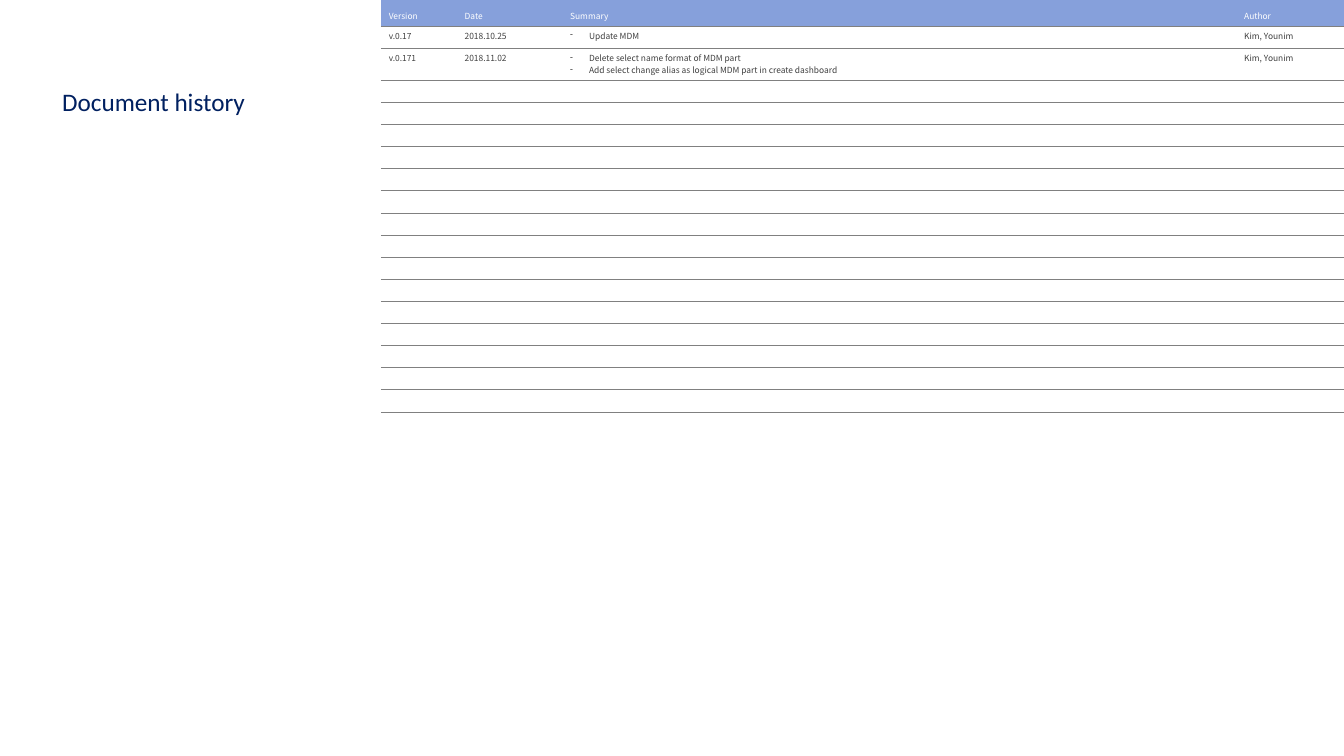
import pptx
import pptx.dml.color
import pptx.enum.text
import pptx.oxml
import pptx.oxml.ns
import pptx.util
from lxml import etree

Pt = pptx.util.Pt
qn = pptx.oxml.ns.qn
RGBColor = pptx.dml.color.RGBColor

NAVY = RGBColor(0x00, 0x20, 0x60)
HEADER_BLUE = RGBColor(0x86, 0xA0, 0xDB)
WHITE = RGBColor(0xFF, 0xFF, 0xFF)
TEXT_GRAY = RGBColor(0x40, 0x40, 0x40)
RULE_GRAY = RGBColor(0x80, 0x80, 0x80)

TABLE_FONT = "Noto Sans CJK KR"
TABLE_SIZE = Pt(6)
COLUMN_WIDTHS = (54.2, 75.4, 481.5, 76.8)
HEADER_HEIGHT = 16.6
ROW_HEIGHT = 15.8
ROW_COUNT = 18
SUMMARY_COLUMN = 2

# Each cell is a list of paragraphs
HISTORY = [
    [["Version"], ["Date"], ["Summary"], ["Author"]],
    [["v.0.17"], ["2018.10.25"], ["Update MDM"], ["Kim, Younim"]],
    [["v.0.171"], ["2018.11.02"],
     ["Delete select name format of MDM part",
      "Add select change alias as logical MDM part in create dashboard"],
     ["Kim, Younim"]],
]


def add_run(paragraph, text, font_name, size, color):
    run = paragraph.add_run()
    run.text = text
    run.font.name = font_name
    run.font.size = size
    run.font.color.rgb = color
    if font_name == TABLE_FONT:
        east_asian = etree.SubElement(run.font._element, qn("a:ea"))
        east_asian.set("typeface", font_name)


def add_dash(paragraph):
    properties = paragraph._p.get_or_add_pPr()
    properties.set("marL", str(Pt(13.5)))
    properties.set("indent", str(-Pt(13.5)))
    etree.SubElement(properties, qn("a:buFontTx"))
    etree.SubElement(properties, qn("a:buChar")).set("char", "-")


def set_borders(cell, top):
    """Rule the cell below, and above if asked, with open sides."""
    properties = cell._tc.get_or_add_tcPr()
    for side, ruled in (("L", False), ("R", False), ("T", top), ("B", True)):
        line = etree.SubElement(properties, qn(f"a:ln{side}"), w=str(Pt(0.25)))
        if ruled:
            fill = etree.SubElement(line, qn("a:solidFill"))
            etree.SubElement(fill, qn("a:srgbClr"), val=str(RULE_GRAY))
        else:
            etree.SubElement(line, qn("a:noFill"))


def fill_cell(cell, entries, is_header, is_list):
    cell.margin_left = cell.margin_right = Pt(5.6)
    cell.margin_top = cell.margin_bottom = Pt(2.8)
    set_borders(cell, top=not is_header)
    cell.fill.solid()
    cell.fill.fore_color.rgb = HEADER_BLUE if is_header else WHITE
    frame = cell.text_frame
    for index, entry in enumerate(entries):
        paragraph = frame.add_paragraph() if index else frame.paragraphs[0]
        if is_header:
            paragraph.line_spacing = 1.5
        if is_list:
            add_dash(paragraph)
        add_run(paragraph, entry, TABLE_FONT, TABLE_SIZE,
                WHITE if is_header else TEXT_GRAY)
    if not entries:
        # Keeps empty rows at their set height
        etree.SubElement(frame.paragraphs[0]._p, qn("a:endParaRPr"),
                         sz=str(int(TABLE_SIZE.pt * 100)))


def add_history_table(slide):
    height = HEADER_HEIGHT + ROW_HEIGHT * (ROW_COUNT - 1)
    table = slide.shapes.add_table(
        ROW_COUNT, len(COLUMN_WIDTHS), Pt(272.1), Pt(0),
        Pt(sum(COLUMN_WIDTHS)), Pt(height)).table
    table.first_row = False
    table.horz_banding = False
    for column, width in zip(table.columns, COLUMN_WIDTHS):
        column.width = Pt(width)
    for row_index, row in enumerate(table.rows):
        is_header = row_index == 0
        row.height = Pt(HEADER_HEIGHT if is_header else ROW_HEIGHT)
        for column_index, cell in enumerate(row.cells):
            has_text = row_index < len(HISTORY)
            entries = HISTORY[row_index][column_index] if has_text else []
            is_list = (has_text and not is_header
                       and column_index == SUMMARY_COLUMN)
            fill_cell(cell, entries, is_header, is_list)


def set_title(slide, text):
    title = slide.shapes.title
    title.left, title.top = Pt(37.2), Pt(61.2)
    title.width, title.height = Pt(828), Pt(25.9)
    frame = title.text_frame
    frame.word_wrap = True
    frame.auto_size = pptx.enum.text.MSO_AUTO_SIZE.NONE
    frame.vertical_anchor = pptx.enum.text.MSO_ANCHOR.MIDDLE
    paragraph = frame.paragraphs[0]
    paragraph.alignment = pptx.enum.text.PP_ALIGN.LEFT
    paragraph.line_spacing = 0.9
    add_run(paragraph, text, "Calibri", Pt(18), NAVY)


def main():
    presentation = pptx.Presentation()
    presentation.slide_width = Pt(960)
    presentation.slide_height = Pt(540)
    slide = presentation.slides.add_slide(presentation.slide_layouts[5])
    set_title(slide, "Document history")
    add_history_table(slide)
    presentation.save("out.pptx")


if __name__ == "__main__":
    main()
